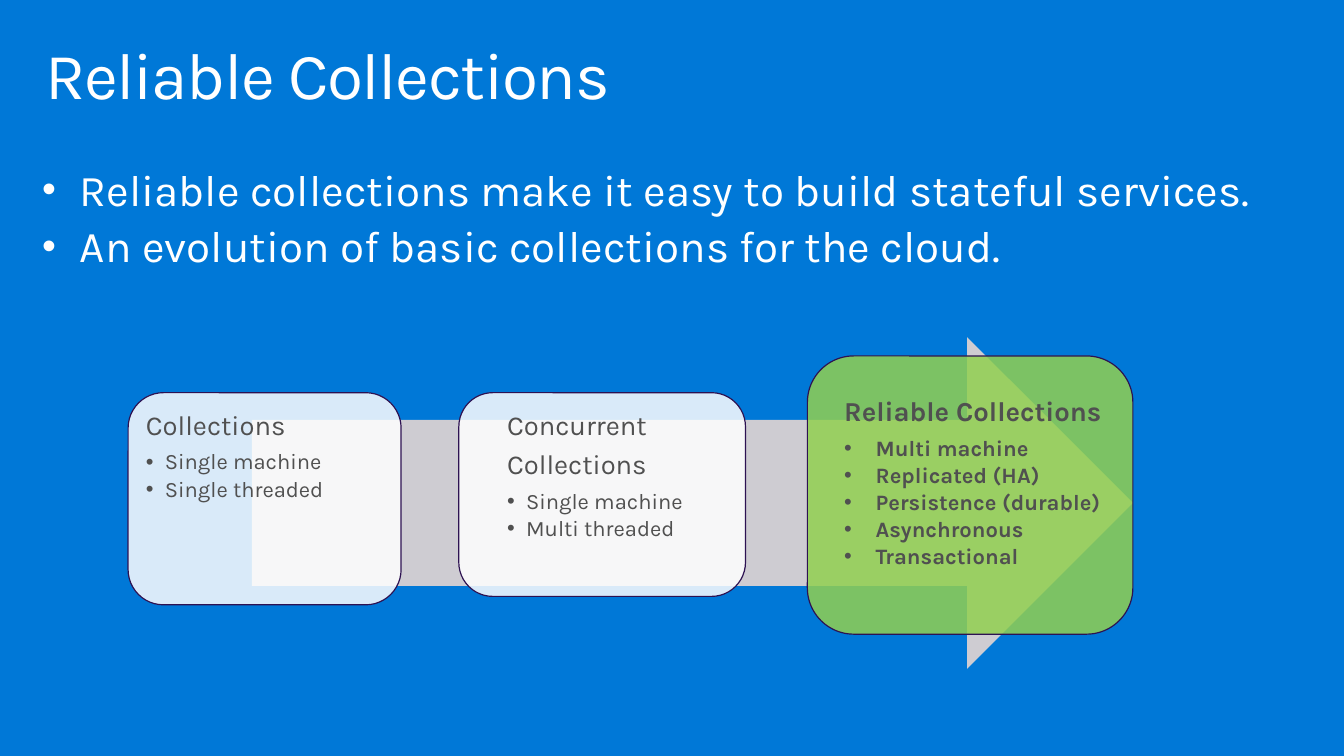
from dataclasses import dataclass

import pptx
import pptx.dml.color
import pptx.enum.shapes
import pptx.enum.text
import pptx.oxml.ns
import pptx.util
from lxml import etree

PX = 9525  # EMU in one px, 96 px to the inch
FONT = "Karla"
BLUE = pptx.dml.color.RGBColor(0x00, 0x78, 0xD7)
WHITE = pptx.dml.color.RGBColor(0xFF, 0xFF, 0xFF)
GRAY = pptx.dml.color.RGBColor(0xCE, 0xCC, 0xD2)
GREEN = pptx.dml.color.RGBColor(0x92, 0xD0, 0x50)
PURPLE = pptx.dml.color.RGBColor(0x2D, 0x12, 0x52)
DARK = pptx.dml.color.RGBColor(0x50, 0x50, 0x50)
SHAPES = pptx.enum.shapes.MSO_SHAPE
qn = pptx.oxml.ns.qn


@dataclass(frozen=True)
class Box:
    x: int
    y: int
    w: int
    h: int

    def emu(self) -> tuple[int, int, int, int]:
        return self.x * PX, self.y * PX, self.w * PX, self.h * PX


@dataclass(frozen=True)
class Card:
    frame: Box
    label: Box
    heading: tuple[str, ...]
    points: tuple[str, ...]
    fill: pptx.dml.color.RGBColor = WHITE
    indent: int = 18
    bold: bool = False


CARDS = (
    Card(Box(122, 374, 260, 202), Box(131, 384, 294, 181),
         ("Collections",), ("Single machine", "Single threaded")),
    Card(Box(437, 374, 273, 194), Box(475, 384, 285, 175),
         ("Concurrent", "Collections"), ("Single machine", "Multi threaded")),
    Card(Box(769, 339, 310, 265), Box(796, 371, 280, 244),
         ("Reliable Collections",),
         ("Multi machine", "Replicated (HA)", "Persistence (durable)",
          "Asynchronous", "Transactional"), GREEN, 30, True),
)
BODY = ("Reliable collections make it easy to build stateful services.",
        "An evolution of basic collections for the cloud.")


def set_frame(tf, margin_x: int, margin_y: int) -> None:
    formats = {
        "word_wrap": True,
        "auto_size": pptx.enum.text.MSO_AUTO_SIZE.NONE,
        "vertical_anchor": pptx.enum.text.MSO_ANCHOR.TOP,
        "margin_left": margin_x * PX, "margin_right": margin_x * PX,
        "margin_top": margin_y * PX, "margin_bottom": margin_y * PX,
    }
    for name, value in formats.items():
        setattr(tf, name, value)


def add_bullet(p, indent: int, percent: int) -> None:
    pPr = p._p.get_or_add_pPr()
    pPr.set("marL", str(indent * PX))
    pPr.set("indent", str(-indent * PX))
    etree.SubElement(pPr, qn("a:buSzPct")).set("val", str(percent * 1000))
    etree.SubElement(pPr, qn("a:buFont")).set("typeface", "Arial")
    etree.SubElement(pPr, qn("a:buChar")).set("char", "•")


def write(tf, text: str, size: float, color: pptx.dml.color.RGBColor,
          indent: int = 0, percent: int = 100, bold: bool = False,
          level: int = 0, before: float = 0, after: float = 0):
    """Fill the first paragraph, or add one after the text already there."""
    first = not tf.text
    p = tf.paragraphs[0] if first else tf.add_paragraph()
    if indent:
        add_bullet(p, indent, percent)
    formats = {
        "alignment": pptx.enum.text.PP_ALIGN.LEFT, "level": level,
        "line_spacing": 0.9,
        "space_before": pptx.util.Pt(0 if first else before),
        "space_after": pptx.util.Pt(after),
    }
    for name, value in formats.items():
        setattr(p, name, value)
    r = p.add_run()
    r.text = text
    font = {"name": FONT, "size": pptx.util.Pt(size), "bold": bold}
    for name, value in font.items():
        setattr(r.font, name, value)
    r.font.color.rgb = color
    return r


def add_text_box(s, box: Box, margin_x: int, margin_y: int):
    tf = s.shapes.add_textbox(*box.emu()).text_frame
    set_frame(tf, margin_x, margin_y)
    return tf


def add_filled(s, kind: SHAPES, box: Box, color: pptx.dml.color.RGBColor):
    sp = s.shapes.add_shape(kind, *box.emu())
    sp.shadow.inherit = False
    sp.fill.solid()
    sp.fill.fore_color.rgb = color
    sp.line.fill.background()
    return sp


def add_card(s, card: Card) -> None:
    sp = add_filled(s, SHAPES.ROUNDED_RECTANGLE, card.frame, card.fill)
    rgb = sp._element.spPr.find(qn("a:solidFill")).find(qn("a:srgbClr"))
    etree.SubElement(rgb, qn("a:alpha")).set("val", "85000")
    sp.line.color.rgb = PURPLE
    sp.line.width = pptx.util.Pt(0.85)
    tf = add_text_box(s, card.label, 8, 8)
    for text in card.heading:
        write(tf, text, 19.6, DARK, bold=card.bold, after=6.9)
    for text in card.points:
        write(tf, text, 15.7, DARK, indent=card.indent, bold=card.bold,
              level=1, after=2.4)


def main() -> None:
    prs = pptx.Presentation()
    prs.slide_width, prs.slide_height = 1280 * PX, 720 * PX
    s = prs.slides.add_slide(prs.slide_layouts[5])
    s.background.fill.solid()
    s.background.fill.fore_color.rgb = BLUE

    # Title
    title = s.shapes.title
    title.left, title.top, title.width, title.height = Box(28, 31, 1224, 94).emu()
    set_frame(title.text_frame, 15, 10)
    r = write(title.text_frame, "Reliable Collections", 47, WHITE)
    r._r.get_or_add_rPr().set("spc", "-100")

    # Main points
    tf = add_text_box(s, Box(30, 155, 1250, 134), 10, 5)
    for text in BODY:
        write(tf, text, 31.4, WHITE, indent=36, percent=90, before=6.3)

    # Evolution arrow with its three stages
    add_filled(s, SHAPES.RIGHT_ARROW, Box(240, 321, 839, 316), GRAY)
    for card in CARDS:
        add_card(s, card)

    prs.save("out.pptx")


if __name__ == "__main__":
    main()
